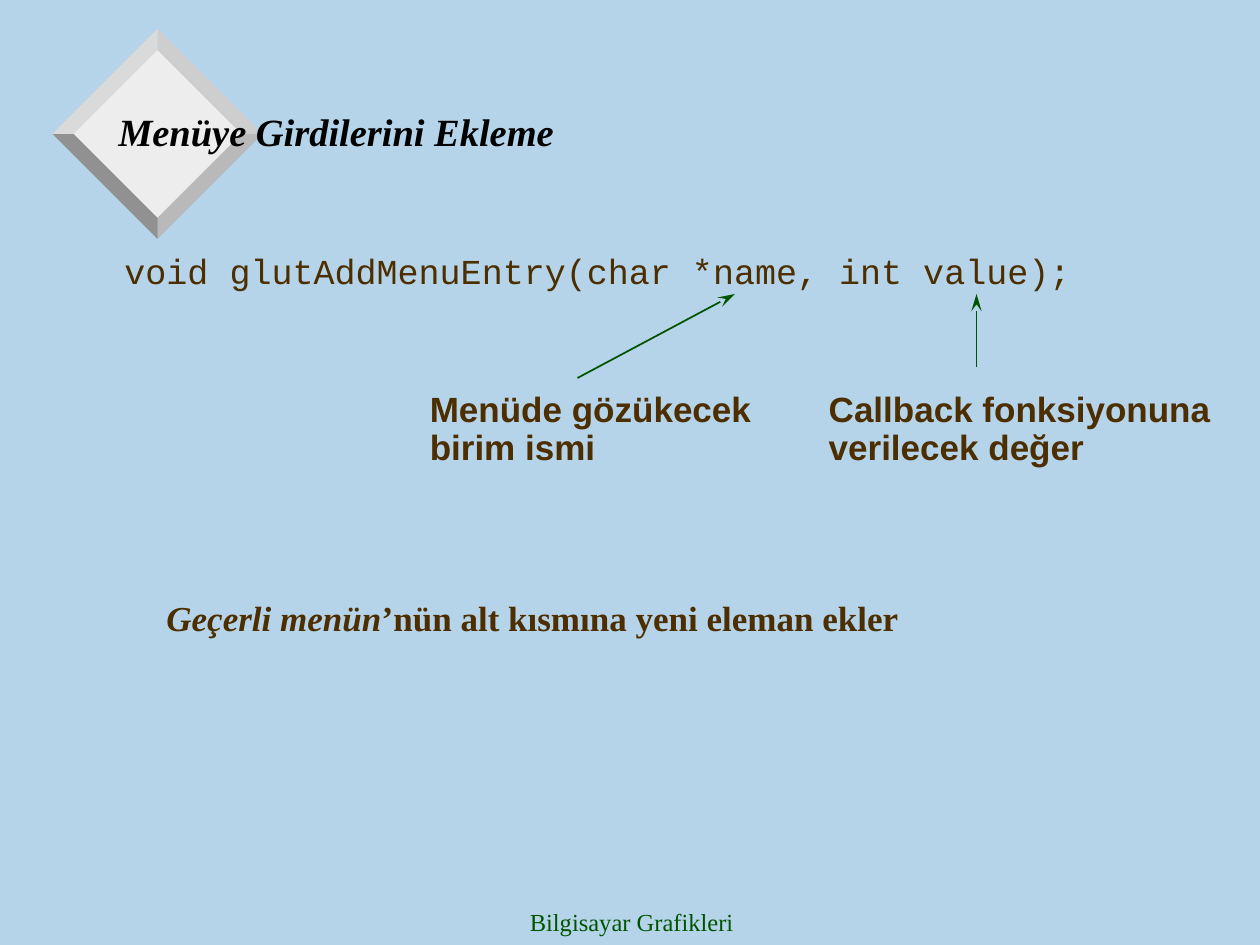
from dataclasses import dataclass

from lxml.etree import SubElement
from pptx import Presentation
from pptx.dml.color import RGBColor
from pptx.enum.shapes import MSO_CONNECTOR as Connector
from pptx.enum.text import MSO_ANCHOR as Anchor, MSO_AUTO_SIZE as AutoSize, PP_ALIGN as Align
from pptx.oxml.ns import qn
from pptx.util import Pt


@dataclass(frozen=True)
class Theme:
    """Colours, typefaces and type sizes of the slide."""
    background: str = "B5D4E9"
    title: str = "000000"
    text: str = "4C2E00"
    accent: str = "005400"
    face: str = "EDEDED"
    bevels: tuple = ("CECECE", "B9B9B9", "919191", "DADADA")
    serif: str = "Times New Roman"
    sans: str = "Arial"
    mono: str = "Courier New"
    title_size: int = 22
    text_size: int = 20
    footer_size: int = 14


THEME = Theme()
TITLE = dict(name=THEME.serif, size=THEME.title_size, color=THEME.title, bold=True, italic=True)
CODE = dict(name=THEME.mono, size=THEME.text_size, color=THEME.text)
LABEL = dict(name=THEME.sans, size=THEME.text_size, color=THEME.text, bold=True)
NOTE = dict(name=THEME.serif, size=THEME.text_size, color=THEME.text, bold=True)
FOOTER = dict(name=THEME.serif, size=THEME.footer_size, color=THEME.accent)


def set_attributes(target, values):
    """Set each named attribute of the target."""
    for name, value in values.items():
        setattr(target, name, value)


def place(shape, box):
    """Move and size a shape to a box in points."""
    set_attributes(shape, dict(zip(("left", "top", "width", "height"), map(Pt, box))))


def add_run(paragraph, text, style):
    """Add a run of text in the given style."""
    run = paragraph.add_run()
    run.text = text
    font = dict(style, size=Pt(style["size"]))
    run.font.color.rgb = RGBColor.from_string(font.pop("color"))
    set_attributes(run.font, font)


def add_text(slide, box, lines, paragraph_format, wrap=False):
    """Add a text box whose lines are lists of (text, style) runs."""
    shape = slide.shapes.add_textbox(*map(Pt, box))
    frame = shape.text_frame
    frame.word_wrap = wrap
    frame.auto_size = AutoSize.NONE if wrap else AutoSize.SHAPE_TO_FIT_TEXT
    for index, runs in enumerate(lines):
        paragraph = frame.add_paragraph() if index else frame.paragraphs[0]
        set_attributes(paragraph, paragraph_format)
        for text, style in runs:
            add_run(paragraph, text, style)


def add_polygon(slide, points, color):
    """Add a closed, filled outline without a border."""
    corners = [(Pt(x), Pt(y)) for x, y in points]
    builder = slide.shapes.build_freeform(*corners[0], scale=1.0)
    builder.add_line_segments(corners[1:], close=True)
    shape = builder.convert_to_shape()
    shape.fill.solid()
    shape.fill.fore_color.rgb = RGBColor.from_string(color)
    shape.line.fill.background()
    shape.shadow.inherit = False


def add_diamond(slide, box, bevel):
    """Add a bevelled diamond that fills the box."""
    left, top, width, height = box
    center_x, center_y = left + width / 2, top + height / 2

    def corners(inset):
        """Return the top, right, bottom and left corners."""
        return [(center_x, top + inset), (left + width - inset, center_y),
                (center_x, top + height - inset), (left + inset, center_y)]

    outer, inner = corners(0), corners(bevel)
    add_polygon(slide, inner, THEME.face)
    for side, color in enumerate(THEME.bevels):
        following = (side + 1) % 4
        add_polygon(slide, [inner[side], outer[side], outer[following], inner[following]], color)


def add_title(slide, box, text):
    """Place and format the title placeholder."""
    title = slide.shapes.title
    place(title, box)
    frame = title.text_frame
    set_attributes(frame, dict(
        word_wrap=True, auto_size=AutoSize.NONE, vertical_anchor=Anchor.BOTTOM,
        margin_left=Pt(3.6), margin_right=Pt(3.6), margin_top=Pt(1.8), margin_bottom=Pt(1.8)))
    paragraph = frame.paragraphs[0]
    paragraph.alignment = Align.LEFT
    add_run(paragraph, text, TITLE)


def add_arrow(slide, start, end):
    """Add a thin arrow with a stealth head at its end."""
    arrow = slide.shapes.add_connector(Connector.STRAIGHT, *map(Pt, start + end))
    arrow.line.width = Pt(1)
    arrow.line.color.rgb = RGBColor.from_string(THEME.accent)
    SubElement(arrow.line._get_or_add_ln(), qn("a:tailEnd"), type="stealth", w="med", len="lg")
    SubElement(arrow._element.spPr, qn("a:effectLst"))


def add_signature(slide, box):
    """Add the function signature with its explained parameters."""
    left, top, width, height = box
    body = dict(line_spacing=0.9, alignment=Align.LEFT)
    add_text(slide, (left, top, width, 29),
             [[("void glutAddMenuEntry(char *name, int value);", CODE)]], body)
    parameters = [
        (174.5, 198, ("Menüde gözükecek", "birim ismi"), (266, 74), 356),
        (402.5, 233, ("Callback fonksiyonuna", "verilecek değer"), (494, 68), 494),
    ]
    for offset, label_width, lines, (start_x, start_y), tip_x in parameters:
        add_text(slide, (left + offset, top + height - 50, label_width, 50),
                 [[(line, LABEL)] for line in lines], body)
        add_arrow(slide, (left + start_x, top + start_y), (left + tip_x, top + 26))


def add_note(slide, box):
    """Add the closing remark."""
    add_text(slide, box, [[("Geçerli menün", dict(NOTE, italic=True)),
                           ("’nün alt kısmına yeni eleman ekler", NOTE)]],
             dict(line_spacing=0.9, alignment=Align.LEFT))


def add_footer(slide, box):
    """Add the centred course name."""
    add_text(slide, box, [[("Bilgisayar Grafikleri", FOOTER)]],
             dict(alignment=Align.CENTER), wrap=True)


def main():
    """Build and save the slide."""
    presentation = Presentation()
    set_attributes(presentation, dict(slide_width=Pt(720), slide_height=Pt(540)))
    slide = presentation.slides.add_slide(presentation.slide_layouts[5])
    slide.background.fill.solid()
    slide.background.fill.fore_color.rgb = RGBColor.from_string(THEME.background)
    add_diamond(slide, (30, 16.5, 120, 120), 12)
    add_footer(slide, (247, 515, 228, 25))
    title_element = slide.shapes.title._element
    title_element.getparent().append(title_element)
    add_title(slide, (64, 15, 650, 75), "Menüye Girdilerini Ekleme")
    add_signature(slide, (64, 142, 635, 128.5))
    add_note(slide, (88, 340, 433, 29))
    presentation.save("out.pptx")


if __name__ == "__main__":
    main()
